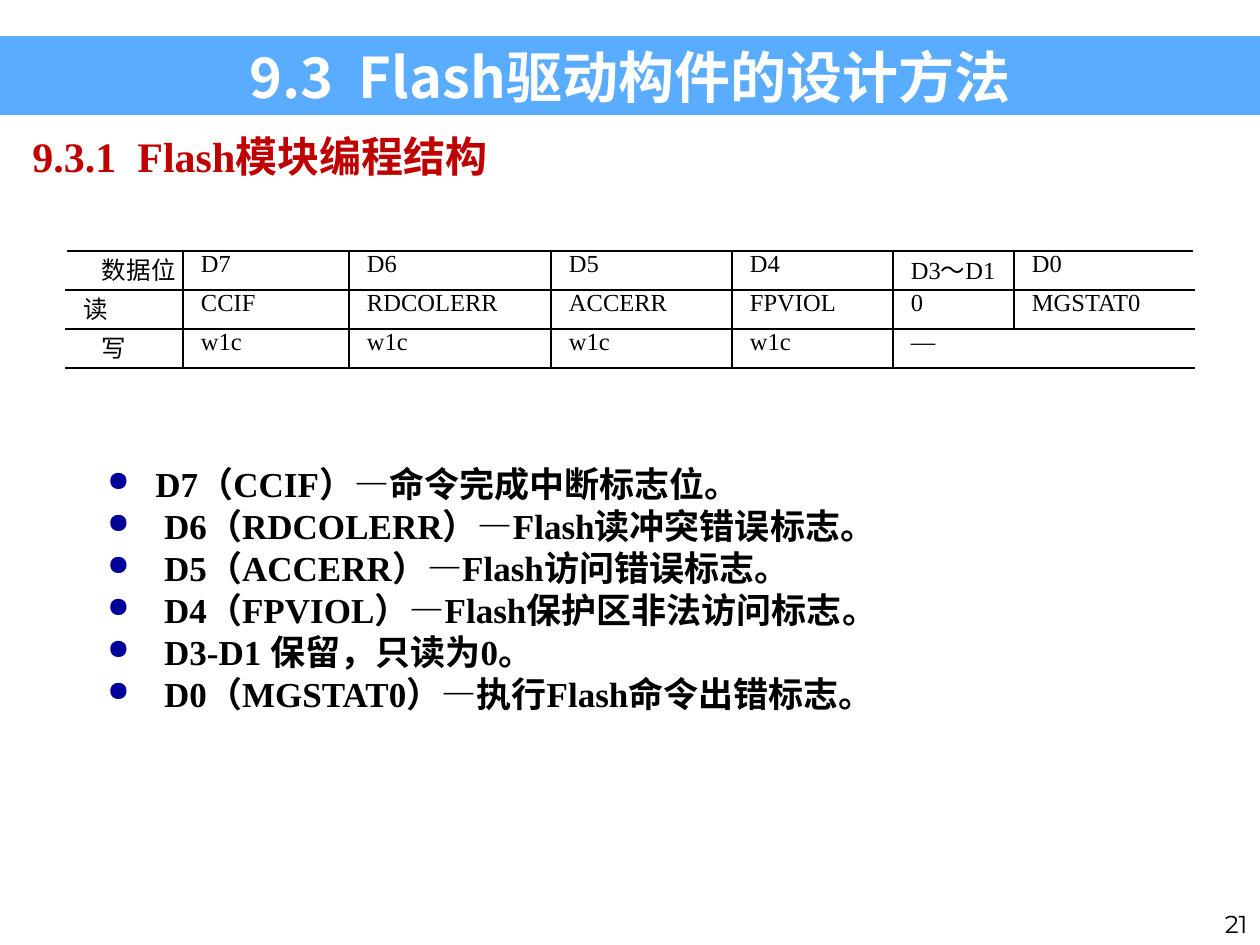
"""Build the slide on the Flash module registers and save it."""
from lxml.etree import SubElement as Sub
from pptx import Presentation
from pptx.dml.color import RGBColor as RGB
from pptx.enum.shapes import MSO_SHAPE as Shape
from pptx.enum.text import MSO_ANCHOR as Anchor, PP_ALIGN as Align
from pptx.oxml import parse_xml as parse
from pptx.oxml.ns import nsdecls, qn
from pptx.util import Pt

HUES = {"band": "3399FF", "white": "FFFFFF", "black": "000000",
        "red": "C00000", "dot": "000099"}
SERIF, SANS, PAGE = "Times New Roman", "Noto Sans CJK JP", "Montserrat"


def px(num):
    return round(num * 914400 / 126)


def write(para, text, hue, align, form):
    run = para.add_run()
    run.text = text
    for key, val in form.items():
        setattr(run.font, key, val)
    run.font.color.rgb = RGB.from_string(HUES[hue])
    Sub(run.font._element, qn("a:ea"), typeface=SANS)
    para.alignment = align


deck = Presentation()
deck.slide_width, deck.slide_height = px(1260), px(945)
slide = deck.slides.add_slide(deck.slide_layouts[6])

band = slide.shapes.add_shape(Shape.RECTANGLE, 0, px(36), px(1260), px(79))
band.shadow.inherit = False
band.fill.solid()
band.fill.fore_color.rgb = RGB.from_string(HUES["band"])
band.line.fill.background()
tint = band._element.spPr.find(qn("a:solidFill"))[0]
Sub(tint, qn("a:alpha"), val="81000")

items = ["D7（CCIF）—命令完成中断标志位。",
         " D6（RDCOLERR）—Flash读冲突错误标志。",
         " D5（ACCERR）—Flash访问错误标志。",
         " D4（FPVIOL）—Flash保护区非法访问标志。",
         " D3-D1 保留，只读为0。",
         " D0（MGSTAT0）—执行Flash命令出错标志。"]
boxes = [
    ((966, 882, 294, 63), ["21"], "black", Align.RIGHT, Anchor.BOTTOM, None,
     {"name": PAGE, "size": Pt(14)}),
    ((0, 36, 1260, 80), ["9.3  Flash驱动构件的设计方法"], "white",
     Align.CENTER, Anchor.MIDDLE, None,
     {"name": SANS, "size": Pt(32), "bold": True}),
    ((20, 125, 486, 63), ["9.3.1  Flash模块编程结构"], "red",
     Align.LEFT, Anchor.TOP, Pt(28.5),
     {"name": SERIF, "size": Pt(24), "bold": True}),
    ((95, 456, 1200, 267), items, "black", Align.JUSTIFY, Anchor.TOP, Pt(24),
     {"name": SERIF, "size": Pt(20), "bold": True}),
]
for place, lines, hue, align, anchor, pitch, form in boxes:
    frame = slide.shapes.add_textbox(*map(px, place)).text_frame
    frame.word_wrap = True
    frame.vertical_anchor = anchor
    for num, line in enumerate(lines):
        para = frame.add_paragraph() if num else frame.paragraphs[0]
        write(para, line, hue, align, form)
        if pitch:
            para.line_spacing = pitch
        if lines is items:
            prop = para._p.get_or_add_pPr()
            prop.set("marL", str(px(48)))
            prop.set("indent", str(px(-48)))
            tint = Sub(prop, qn("a:buClr"))
            Sub(tint, qn("a:srgbClr"), val=HUES["dot"])
            Sub(prop, qn("a:buSzPct"), val="80000")
            Sub(prop, qn("a:buChar"), char="●")

rows = [["数据位", "D7", "D6", "D5", "D4", "D3～D1", "D0"],
        ["读", "CCIF", "RDCOLERR", "ACCERR", "FPVIOL", "0", "MGSTAT0"],
        ["写", "w1c", "w1c", "w1c", "w1c", "—", ""]]
wides = [117, 166, 202, 181, 161, 121, 180]
grid = slide.shapes.add_table(len(rows), len(wides), px(66), px(251),
                              px(sum(wides)), px(117)).table
grid.first_row = grid.horz_banding = False
for col, wide in zip(grid.columns, wides):
    col.width = px(wide)
grid.cell(2, 5).merge(grid.cell(2, 6))
form = {"name": SERIF, "size": Pt(14)}
last = len(wides) - 1
for r, row in enumerate(rows):
    grid.rows[r].height = px(39)
    for c, text in enumerate(row):
        cell = grid.cell(r, c)
        for side in ("left", "right", "top", "bottom"):
            setattr(cell, "margin_" + side, 0)
        if r == 2:
            cell.fill.solid()
            cell.fill.fore_color.rgb = RGB.from_string(HUES["white"])
        else:
            cell.fill.background()
        if text:
            para = cell.text_frame.paragraphs[0]
            write(para, text, "black", Align.JUSTIFY, form)
            dent = 36 if c == 0 and r != 1 else 18
            para._p.get_or_add_pPr().set("indent", str(px(dent)))
        prop = cell._tc.get_or_add_tcPr()
        for num, side in enumerate("LRTB"):
            edge = (side == "L" and c == 0 or side == "R"
                    and (c == last or not rows[r][c + 1]))
            hue = HUES["white" if edge else "black"]
            prop.insert(num, parse(
                f'<a:ln{side} {nsdecls("a")} w="12700"><a:solidFill>'
                f'<a:srgbClr val="{hue}"/></a:solidFill></a:ln{side}>'))

deck.save("out.pptx")
